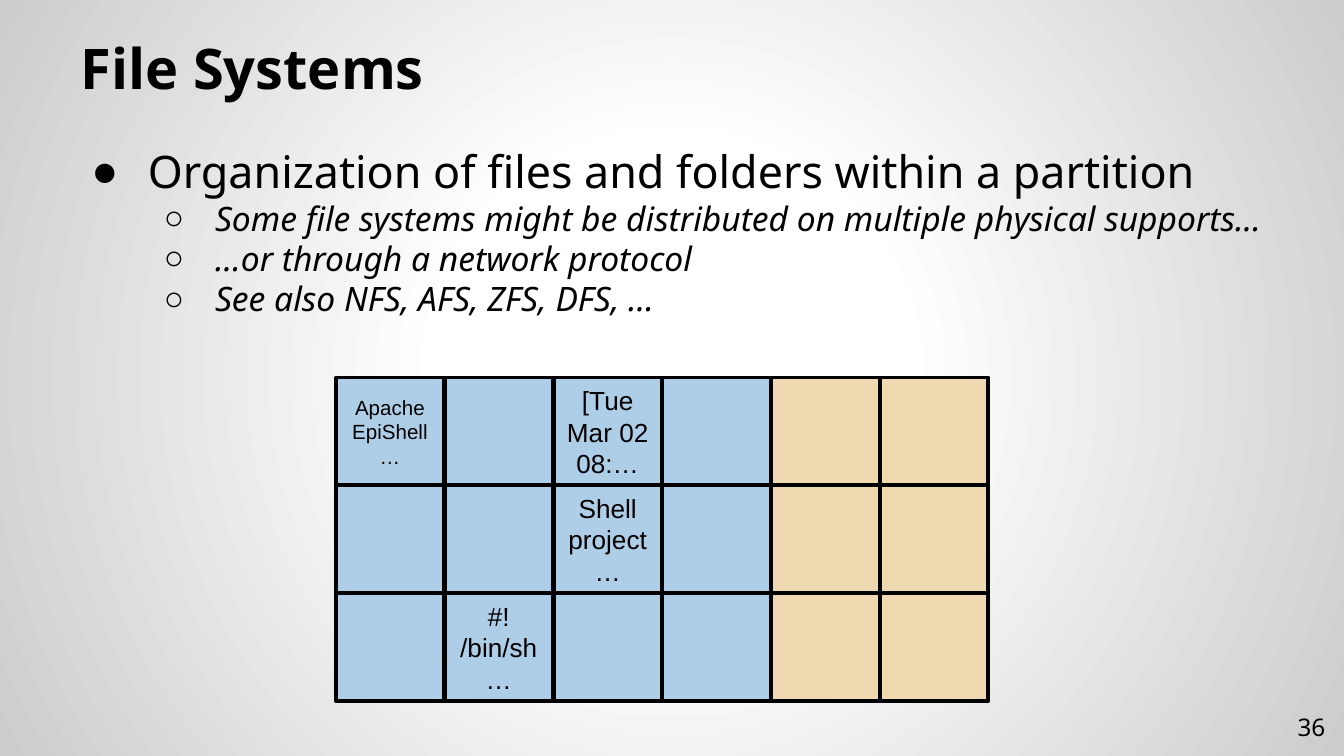
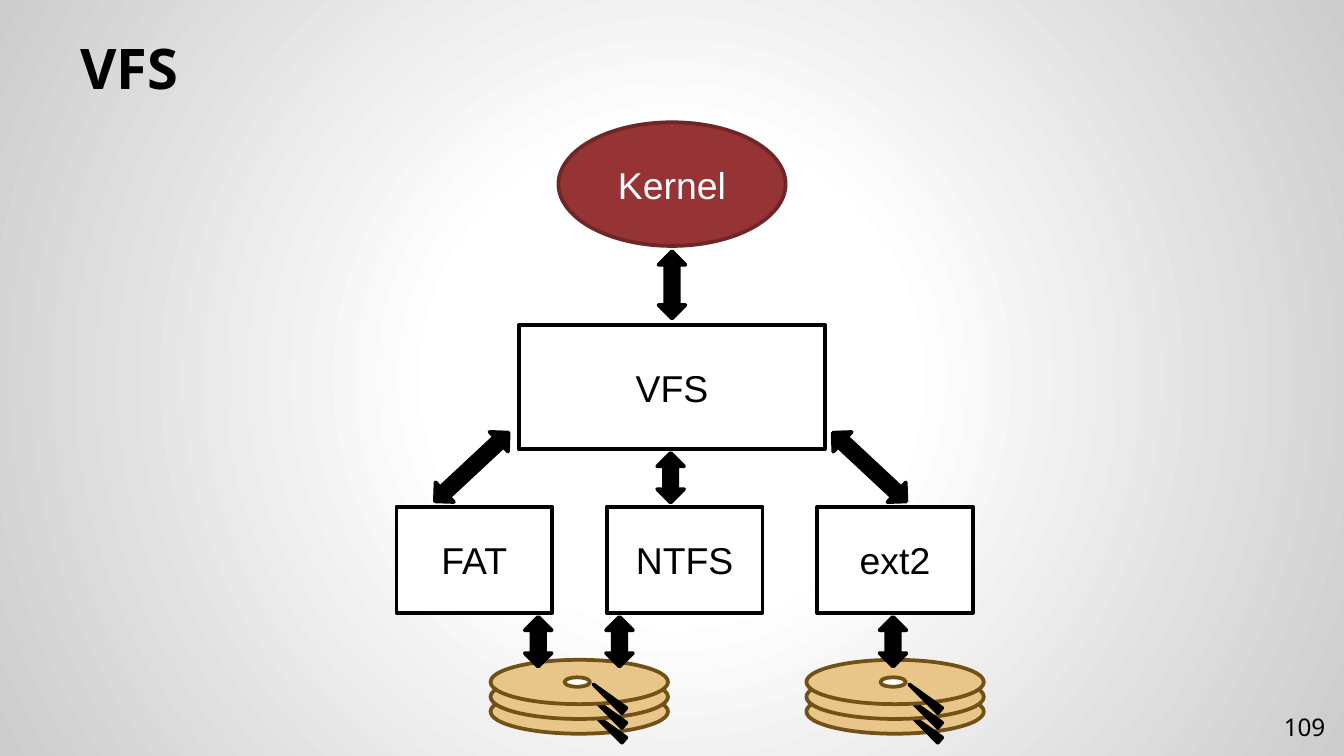
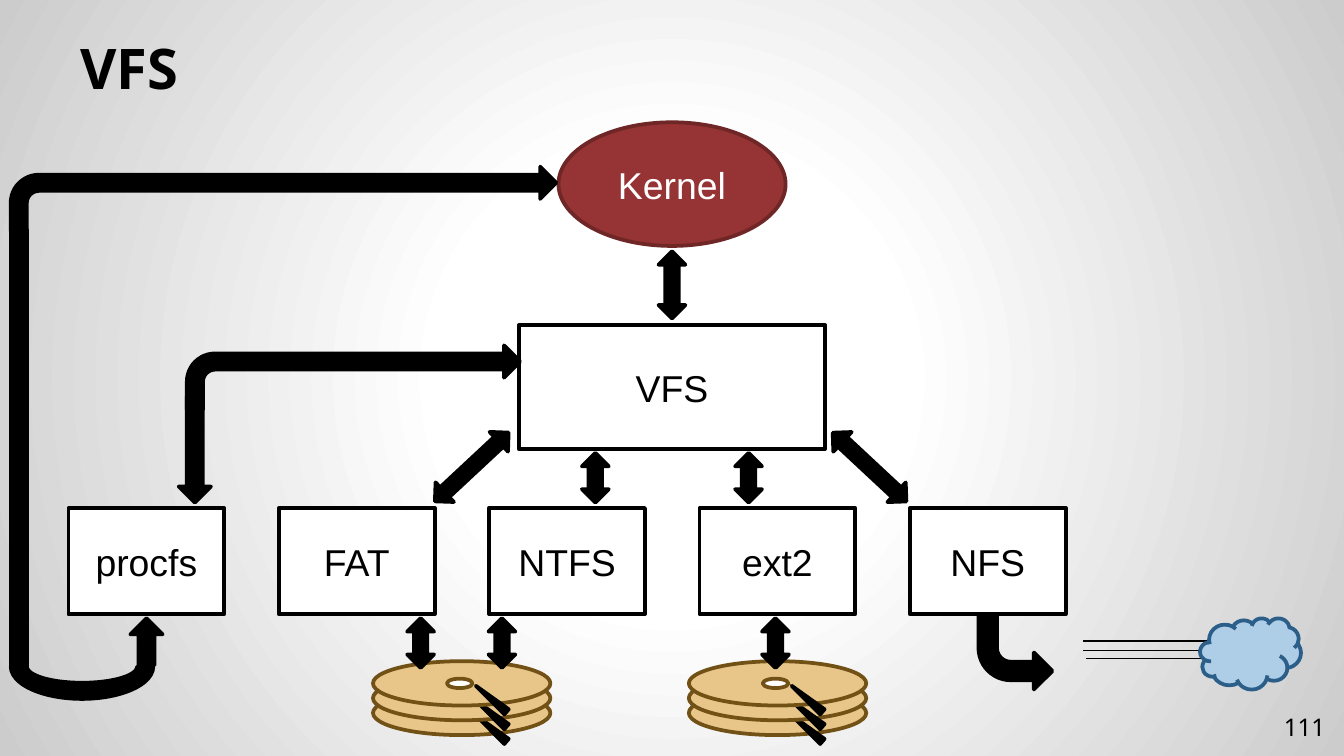
from lxml import etree
from pptx import Presentation
from pptx.dml.color import RGBColor
from pptx.enum.shapes import MSO_CONNECTOR, MSO_SHAPE
from pptx.enum.text import MSO_ANCHOR, MSO_AUTO_SIZE, PP_ALIGN
from pptx.oxml import parse_xml
from pptx.oxml.ns import qn
from pptx.util import Inches, Pt

RECT, OVAL, CLOUD = MSO_SHAPE.RECTANGLE, MSO_SHAPE.OVAL, MSO_SHAPE.CLOUD
TRIANGLE, ARC = MSO_SHAPE.ISOSCELES_TRIANGLE, MSO_SHAPE.BLOCK_ARC
UP_DOWN, DOWN, BENT = MSO_SHAPE.UP_DOWN_ARROW, MSO_SHAPE.DOWN_ARROW, MSO_SHAPE.BENT_ARROW
MIDDLE, BOTTOM = MSO_ANCHOR.MIDDLE, MSO_ANCHOR.BOTTOM
LEFT, CENTER, RIGHT = PP_ALIGN.LEFT, PP_ALIGN.CENTER, PP_ALIGN.RIGHT

COLORS = {
    "black": "000000", "white": "FFFFFF", "grey": "CCCCCC",
    "blue": "AECDE6", "blue_line": "2B5F8A", "sand": "EFD9B0",
    "disk": "E8C588", "disk_line": "725116",
    "kernel": "963334", "kernel_line": "6F2626",
}
HEAD_FONT, SHAPE_FONT = "Noto Sans", "Arial"

prs = Presentation()
prs.slide_width = Inches(10)
prs.slide_height = prs.slide_width * 9 // 16
U = prs.slide_width / 100  # square grid, 100 columns across the slide


def add_run(p, text, size, font=HEAD_FONT, color="black", bold=False, italic=False):
    r = p.add_run()
    r.text = text
    r.font.size, r.font.name = Pt(size), font
    r.font.bold, r.font.italic = bold, italic
    r.font.color.rgb = RGBColor.from_string(COLORS[color])


def add_shape(shapes, kind, x, y, w, h, fill="black", line="black",
              text="", size=20, color="black", rot=0):
    sp = shapes.add_shape(kind, *(round(v * U) for v in (x, y, w, h)))
    sp.shadow.inherit = False
    sp.rotation = rot
    sp.fill.solid()
    sp.fill.fore_color.rgb = RGBColor.from_string(COLORS[fill])
    sp.line.color.rgb = RGBColor.from_string(COLORS[line])
    sp.line.width = Pt(2)
    if text:
        tf = sp.text_frame
        tf.word_wrap, tf.vertical_anchor = True, MIDDLE
        tf.margin_left = tf.margin_right = Inches(0.09)
        tf.paragraphs[0].alignment = CENTER
        add_run(tf.paragraphs[0], text, size, SHAPE_FONT, color)
    return sp


# Shared background: radial gradient on the master
cSld = prs.slide_master._element.cSld
cSld.remove(cSld.find(qn("p:bg")))
stops = "".join(f'<a:gs pos="{pos}000"><a:srgbClr val="{COLORS[name]}"/></a:gs>'
                for pos, name in ((0, "white"), (30, "white"), (100, "grey")))
cSld.insert(0, parse_xml(
    '<p:bg xmlns:p="http://schemas.openxmlformats.org/presentationml/2006/main" '
    'xmlns:a="http://schemas.openxmlformats.org/drawingml/2006/main"><p:bgPr>'
    f'<a:gradFill><a:gsLst>{stops}</a:gsLst><a:path path="circle">'
    '<a:fillToRect l="50000" t="50000" r="50000" b="50000"/></a:path></a:gradFill>'
    '<a:effectLst/></p:bgPr></p:bg>'))

# Titles and page numbers
for layout, title, number in ((1, "File Systems", "36"), (5, "VFS", "109"), (5, "VFS", "111")):
    s = prs.slides.add_slide(prs.slide_layouts[layout])
    num = s.shapes.add_textbox(*(round(v * U) for v in (93.6, 51.9, 6, 4.3)))
    ttl = s.shapes.title
    ttl.left, ttl.top, ttl.width, ttl.height = (round(v * U) for v in (5, 2.3, 90, 6.2))
    for sp, text, size, align, anchor in ((ttl, title, 30, LEFT, BOTTOM),
                                          (num, number, 13, RIGHT, MIDDLE)):
        tf = sp.text_frame
        tf.word_wrap, tf.auto_size, tf.vertical_anchor = True, MSO_AUTO_SIZE.NONE, anchor
        tf.margin_top = tf.margin_bottom = Inches(0.1)
        p = tf.paragraphs[0]
        p.alignment = align
        add_run(p, text, size, bold=sp is ttl)

# Slide 1: bullet list
s = prs.slides[0]
body = s.placeholders[1]
body.left, body.top, body.width, body.height = (round(v * U) for v in (5, 9.7, 90, 44.1))
tf = body.text_frame
tf.auto_size = MSO_AUTO_SIZE.NONE
tf.margin_top = tf.margin_bottom = Inches(0.1)
points = [
    (0, "Organization of files and folders within a partition"),
    (1, "Some file systems might be distributed on multiple physical supports…"),
    (1, "…or through a network protocol"),
    (1, "See also NFS, AFS, ZFS, DFS, …"),
]
for i, (level, text) in enumerate(points):
    p = tf.add_paragraph() if i else tf.paragraphs[0]
    indent, bullet, size = ((0.42, "●", 24), (0.38, "○", 18))[level]
    p.level = level
    pPr = p._p.get_or_add_pPr()
    pPr.set("marL", str(Inches(0.5 + 0.5 * level)))
    pPr.set("indent", str(-Inches(indent)))
    clr = etree.SubElement(pPr, qn("a:buClr"))
    etree.SubElement(clr, qn("a:srgbClr"), val=COLORS["black"])
    etree.SubElement(pPr, qn("a:buFont"), typeface=SHAPE_FONT)
    etree.SubElement(pPr, qn("a:buChar"), char=bullet)
    p.space_before = Pt(0)
    add_run(p, text, size, italic=level == 1)

# Slide 1: partition blocks, the last two columns in another partition
blocks = {(0, 0): ("Apache EpiShell …", 11), (0, 2): ("[Tue Mar 02 08:…", 14),
          (1, 2): ("Shell project…", 14), (2, 1): ("#! /bin/sh …", 14)}
grid = s.shapes.add_group_shape().shapes
for row in range(3):
    for col in range(6):
        text, size = blocks.get((row, col), ("", 14))
        add_shape(grid, RECT, 25 + 8.1 * col, 28.1 + 8.02 * row, 8.04, 8.04,
                  "blue" if col < 4 else "sand", text=text, size=size)

# Slides 2 and 3: kernel, VFS, file systems and disks
STEP = 15.65
diagrams = [
    # slide, row top, first box, file systems, FAT column, arrows below VFS
    (1, 37.7, 29.5, ("FAT", "NTFS", "ext2"), 0, (48.9,)),
    (2, 37.8, 5.1, ("procfs", "FAT", "NTFS", "ext2", "NFS"), 1, (43.3, 54.7)),
]
for index, top, left, systems, fat_col, vfs_arrows in diagrams:
    shapes = prs.slides[index].shapes
    if "NFS" in systems:
        arrow = add_shape(shapes, BENT, 72.8, 45.6, 5.5, 5.7, rot=180)
        arrow._element.spPr.xfrm.set("flipH", "1")
    add_shape(shapes, OVAL, 41.55, 9.1, 16.9, 9.2, "kernel", "kernel_line", "Kernel", color="white")
    add_shape(shapes, RECT, 38.6, 24.2, 22.8, 9.2, "white", text="VFS")
    for col, name in enumerate(systems):
        add_shape(shapes, RECT, left + STEP * col, top, 11.6, 7.9, "white", text=name)

    # Disks: three platters with their arms, and a hub
    fat = left + STEP * fat_col
    for x in (fat + 7, fat + 30.5):
        disk = shapes.add_group_shape().shapes
        for y in (top + 13.6, top + 12.5, top + 11.4):
            add_shape(disk, OVAL, x, y, 13.2, 3.3, "disk", "disk_line")
            add_shape(disk, TRIANGLE, x + 8.55, y + 1.3, 0.5, 3, rot=310.4)
        add_shape(disk, OVAL, x + 5.5, top + 12.7, 1.9, 0.7, "white", "disk_line")

    # Two-way arrows
    add_shape(shapes, UP_DOWN, 49, 18.7, 2, 5)
    for x, angle in ((34.1, 47), (63.7, 313)):
        add_shape(shapes, UP_DOWN, x, 31, 2, 7.5, rot=angle)
    for x in vfs_arrows:
        add_shape(shapes, UP_DOWN, x, 33.7, 2, 3.7)
    for offset in (9.55, 15.6, 35.95):
        add_shape(shapes, UP_DOWN, fat + offset, top + 8.2, 2, 3.7)

# Slide 3: network cloud
s = prs.slides[2]
cloud = s.shapes.add_group_shape().shapes
for x, y in ((80.6, 47.7), (80.6, 48.4), (80.8, 49)):
    cable = cloud.add_connector(MSO_CONNECTOR.STRAIGHT,
                                *(round(v * U) for v in (x, y, x + 10.2, y)))
    cable.line.color.rgb = RGBColor.from_string(COLORS["black"])
    cable.line.width = Pt(0.75)
    etree.SubElement(cable._element.spPr, qn("a:effectLst"))
add_shape(cloud, CLOUD, 89.3, 46, 7.5, 5.3, "blue", "blue_line")

# Slide 3: routes from procfs to VFS and to the kernel
for parts in (
    ((BENT, 13.9, 25.7, 24.8, 4.8, 0), (DOWN, 13.3, 29.5, 2.4, 7.9, 0)),
    ((BENT, 0.8, 12.4, 40.6, 4.8, 0), (RECT, 0.8, 17.1, 1.2, 32.6, 0),
     (ARC, 0.8, 47.2, 10.6, 4.8, 180), (DOWN, 9.7, 46, 2.4, 3.5, 180)),
):
    route = s.shapes.add_group_shape().shapes
    for kind, x, y, w, h, angle in parts:
        add_shape(route, kind, x, y, w, h, rot=angle)

prs.save("out.pptx")
